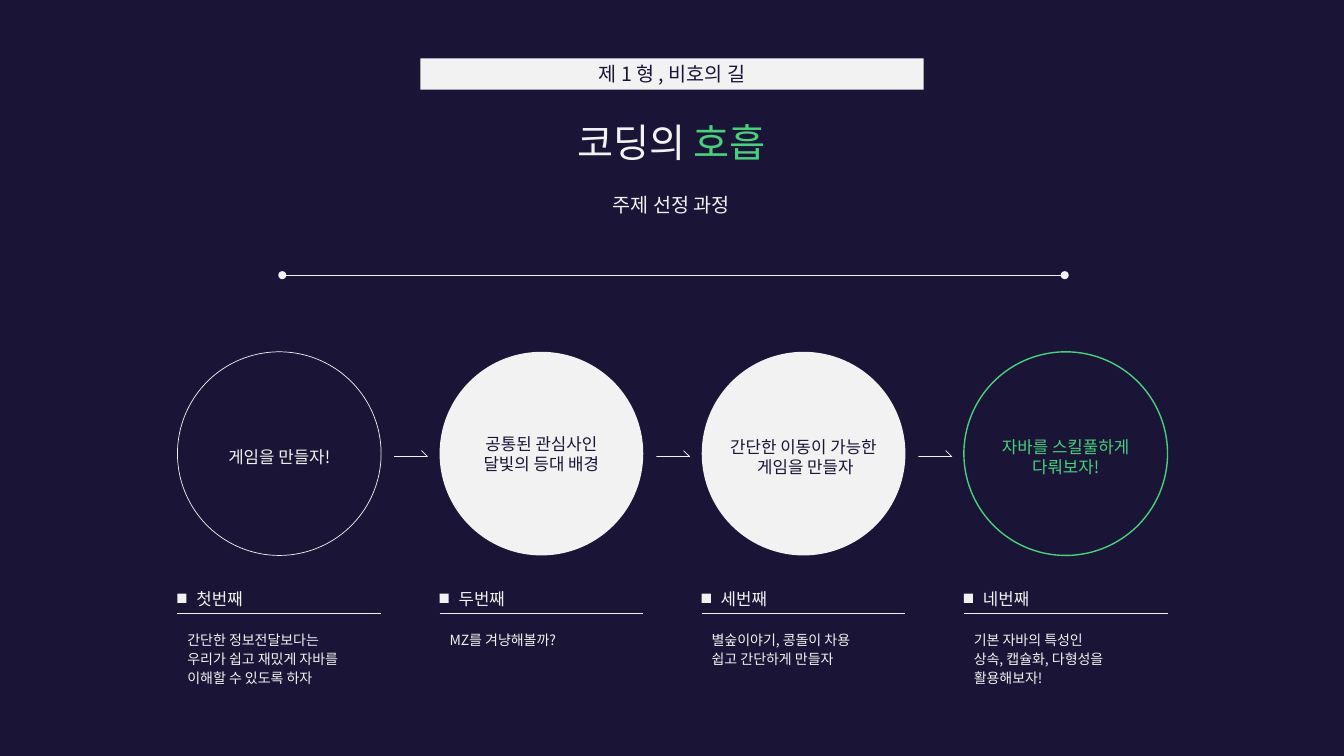
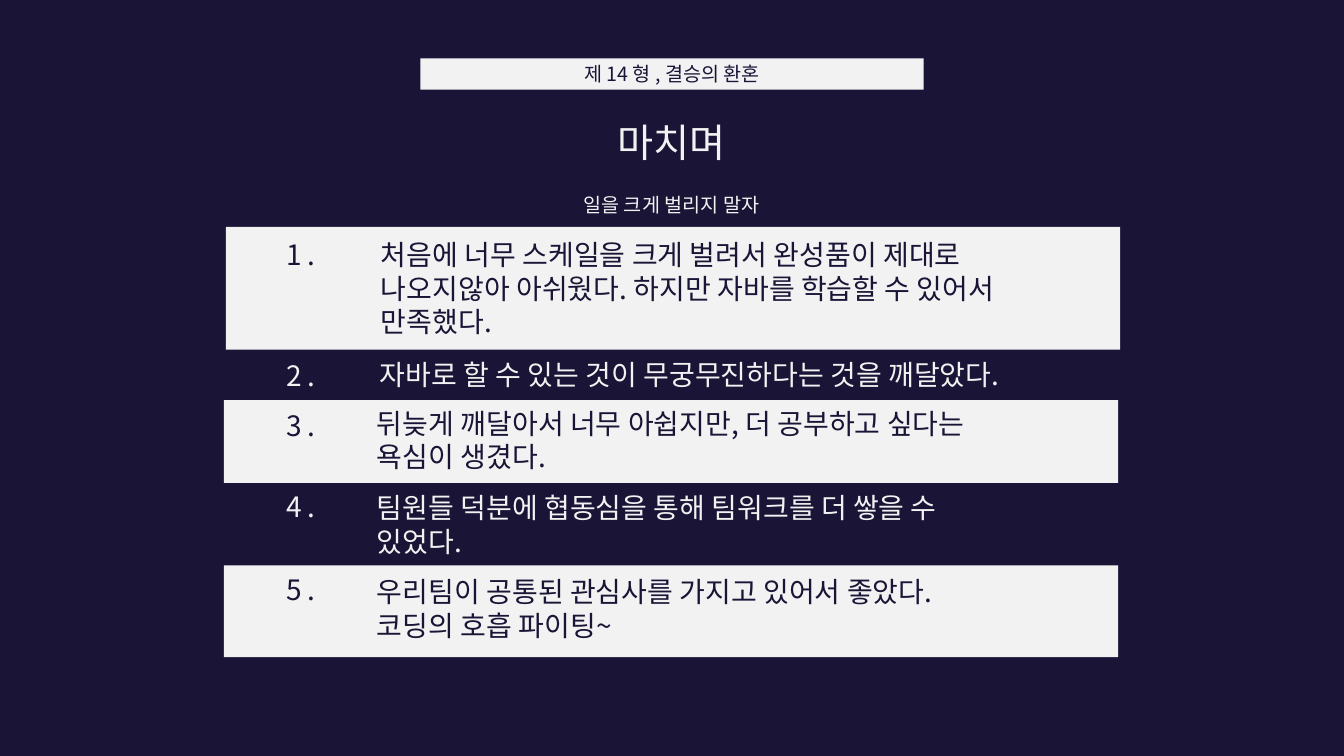
import pptx
import pptx.dml.color
import pptx.enum.shapes
import pptx.enum.text
import pptx.oxml
import pptx.oxml.ns
import pptx.util

Inches = pptx.util.Inches
Shape = pptx.enum.shapes.MSO_SHAPE
Align = pptx.enum.text.PP_ALIGN
Anchor = pptx.enum.text.MSO_ANCHOR

NAVY, PALE, GREEN = "1A1436", "F2F2F2", "48D07C"
FONT = "Noto Sans CJK KR"

STEP_LEFT, STEP_PITCH, STEP_WIDTH = 1.76, 2.6, 2.02
CIRCLE_TOP = 3.49
STEPS = [
    dict(label="게임을 만들자!", drop=0.03, fill=None, line=PALE, color=PALE,
         heading="첫번째",
         detail="간단한 정보전달보다는\n우리가 쉽고 재밌게 자바를\n이해할 수 있도록 하자"),
    dict(label="공통된 관심사인\n달빛의 등대 배경", drop=0, fill=PALE, line=None, color=NAVY,
         heading="두번째", detail="MZ를 겨냥해볼까?"),
    dict(label="간단한 이동이 가능한\n 게임을 만들자", drop=0.03, fill=PALE, line=None, color=NAVY,
         heading="세번째", detail="별숲이야기, 콩돌이 차용\n쉽고 간단하게 만들자"),
    dict(label="자바를 스킬풀하게\n다뤄보자!", drop=0.03, fill=None, line=GREEN, color=GREEN,
         heading="네번째", detail="기본 자바의 특성인\n상속, 캡슐화, 다형성을\n활용해보자!"),
]

BANDS = [(2.24, 2.25, 1.22), (2.22, 3.97, 0.82), (2.22, 5.61, 0.91)]
LESSONS = [
    (3.68, 2.31, 2.31, "처음에 너무 스케일을 크게 벌려서 완성품이 제대로 나오지않아 아쉬웠다. "
                       "하지만 자바를 학습할 수 있어서 만족했다."),
    (3.67, 3.5, 3.51, "자바로 할 수 있는 것이 무궁무진하다는 것을 깨달았다."),
    (3.64, 3.98, 4, "뒤늦게 깨달아서 너무 아쉽지만, 더 공부하고 싶다는\n욕심이 생겼다."),
    (3.64, 4.82, 4.81, "팀원들 덕분에 협동심을 통해 팀워크를 더 쌓을 수\n있었다."),
    (3.64, 5.65, 5.63, "우리팀이 공통된 관심사를 가지고 있어서 좋았다.\n코딩의 호흡 파이팅~"),
]


def rgb(value):
    """Turn a hex string into a colour."""
    return pptx.dml.color.RGBColor.from_string(value)


def add_span(para, text, size, color):
    """Add a run in the deck's font to a paragraph."""
    span = para.add_run()
    span.text = text
    span.font.size = pptx.util.Pt(size)
    span.font.color.rgb = rgb(color)
    span.font.name = FONT
    east_asian = pptx.oxml.parse_xml(
        f'<a:ea {pptx.oxml.ns.nsdecls("a")} typeface="{FONT}"/>')
    span.font._element.append(east_asian)


def write(shape, text, *, size, color=PALE, align=Align.LEFT, spacing=None,
          anchor=Anchor.TOP, wrap=True, accent=""):
    """Write one paragraph per line, with an optional accent run at the end."""
    frame = shape.text_frame
    frame.word_wrap = wrap
    frame.auto_size = pptx.enum.text.MSO_AUTO_SIZE.NONE
    frame.vertical_anchor = anchor
    for index, line in enumerate(text.split("\n")):
        para = frame.add_paragraph() if index else frame.paragraphs[0]
        para.alignment = align
        para.space_before = pptx.util.Pt(0)
        if spacing:
            para.line_spacing = spacing
        add_span(para, line, size, color)
    if accent:
        add_span(para, accent, size, GREEN)


def add_text(page, text, left, top, width, height, **style):
    """Add a text box."""
    box = page.shapes.add_textbox(Inches(left), Inches(top), Inches(width), Inches(height))
    write(box, text, **style)


def paint(shape, fill=None, line=None, weight=0.5):
    """Set a shape's fill and outline, leaving out what is not given."""
    shape.shadow.inherit = False
    if fill:
        shape.fill.solid()
        shape.fill.fore_color.rgb = rgb(fill)
    else:
        shape.fill.background()
    if line:
        shape.line.color.rgb = rgb(line)
        shape.line.width = pptx.util.Pt(weight)
    else:
        shape.line.fill.background()


def add_shape(page, kind, left, top, width, height, **look):
    """Add a painted preset shape."""
    shape = page.shapes.add_shape(
        kind, Inches(left), Inches(top), Inches(width), Inches(height))
    paint(shape, **look)
    return shape


def add_rule(page, left, top, width):
    """Add a thin horizontal line."""
    rule = page.shapes.add_connector(
        pptx.enum.shapes.MSO_CONNECTOR.STRAIGHT,
        Inches(left), Inches(top), Inches(left + width), Inches(top))
    rule.line.color.rgb = rgb(PALE)
    rule.line.width = pptx.util.Pt(0.5)
    rule._element.spPr.append(
        pptx.oxml.parse_xml(f'<a:effectLst {pptx.oxml.ns.nsdecls("a")}/>'))


def add_half_arrow(page, left, top):
    """Add an arrow whose head has only its upper barb."""
    builder = page.shapes.build_freeform(Inches(left), Inches(top))
    builder.add_line_segments(
        [(Inches(left + 0.33), Inches(top)), (Inches(left + 0.27), Inches(top - 0.06))],
        close=False)
    paint(builder.convert_to_shape(), line=PALE)


def add_page(deck, chapter, title, subtitle, accent=""):
    """Add a page with its chapter band, title and subtitle."""
    page = deck.slides.add_slide(deck.slide_layouts[0])
    band = add_shape(page, Shape.RECTANGLE, 4.17, 0.58, 4.99, 0.31, fill=PALE)
    write(band, chapter, size=14, color=NAVY, align=Align.CENTER, anchor=Anchor.MIDDLE)
    heading, body = page.placeholders
    for box, top, height in ((heading, 1.12, 0.57), (body, 1.79, 0.4)):
        box.left, box.top = Inches(2.61), Inches(top)
        box.width, box.height = Inches(8.1), Inches(height)
    write(heading, title, size=28, align=Align.CENTER, accent=accent)
    write(body, subtitle, size=14, align=Align.CENTER, spacing=1.3)
    return page


def add_step(page, left, step):
    """Add a step's circle with the heading and details below it."""
    circle = add_shape(page, Shape.OVAL, left, CIRCLE_TOP, STEP_WIDTH, STEP_WIDTH,
                       fill=step["fill"], line=step["line"],
                       weight=1 if step["line"] == GREEN else 0.5)
    frame = circle.text_frame
    frame.margin_left = frame.margin_right = frame.margin_bottom = 0
    frame.margin_top = Inches(2 * step["drop"])
    write(circle, step["label"], size=12, color=step["color"], align=Align.CENTER,
          anchor=Anchor.MIDDLE, wrap=False)
    add_shape(page, Shape.RECTANGLE, left, 5.89, 0.09, 0.09, fill=PALE)
    add_text(page, step["heading"], left + 0.09, 5.79, 0.75, 0.3, size=12)
    add_rule(page, left, 6.09, STEP_WIDTH)
    add_text(page, step["detail"], left, 6.19, STEP_WIDTH, 0.68, size=10, spacing=1.14)


def build_process(deck):
    """Build the page on how the topic was chosen."""
    page = add_page(deck, "제 1 형 , 비호의 길", "코딩의 ", "주제 선정 과정", accent="호흡")
    add_rule(page, 2.8, 2.73, 7.76)
    for left in (2.76, 10.52):
        add_shape(page, Shape.OVAL, left, 2.69, 0.08, 0.08, fill=PALE)
    for index, step in enumerate(STEPS):
        left = STEP_LEFT + index * STEP_PITCH
        add_step(page, left, step)
        if index < len(STEPS) - 1:
            add_half_arrow(page, left + 2.15, 4.53)


def build_closing(deck):
    """Build the page of closing thoughts."""
    page = add_page(deck, "제 14 형 , 결승의 환혼", "마치며", "일을 크게 벌리지 말자")
    for left, top, height in BANDS:
        add_shape(page, Shape.RECTANGLE, left, top, 8.87, height, fill=PALE)
    for number, (left, top, number_top, text) in enumerate(LESSONS, 1):
        color = NAVY if number % 2 else PALE
        add_text(page, f"{number} .", 2.33, number_top, 1.31, 0.44,
                 size=20, color=color, align=Align.CENTER)
        add_text(page, text, left, top, 6.75, 0.77, size=20, color=color)


def main():
    """Build and save the deck."""
    deck = pptx.Presentation()
    deck.slide_width, deck.slide_height = Inches(13.33), Inches(7.5)
    backdrop = deck.slide_master.background.fill
    backdrop.solid()
    backdrop.fore_color.rgb = rgb(NAVY)
    build_process(deck)
    build_closing(deck)
    deck.save("out.pptx")


if __name__ == "__main__":
    main()
